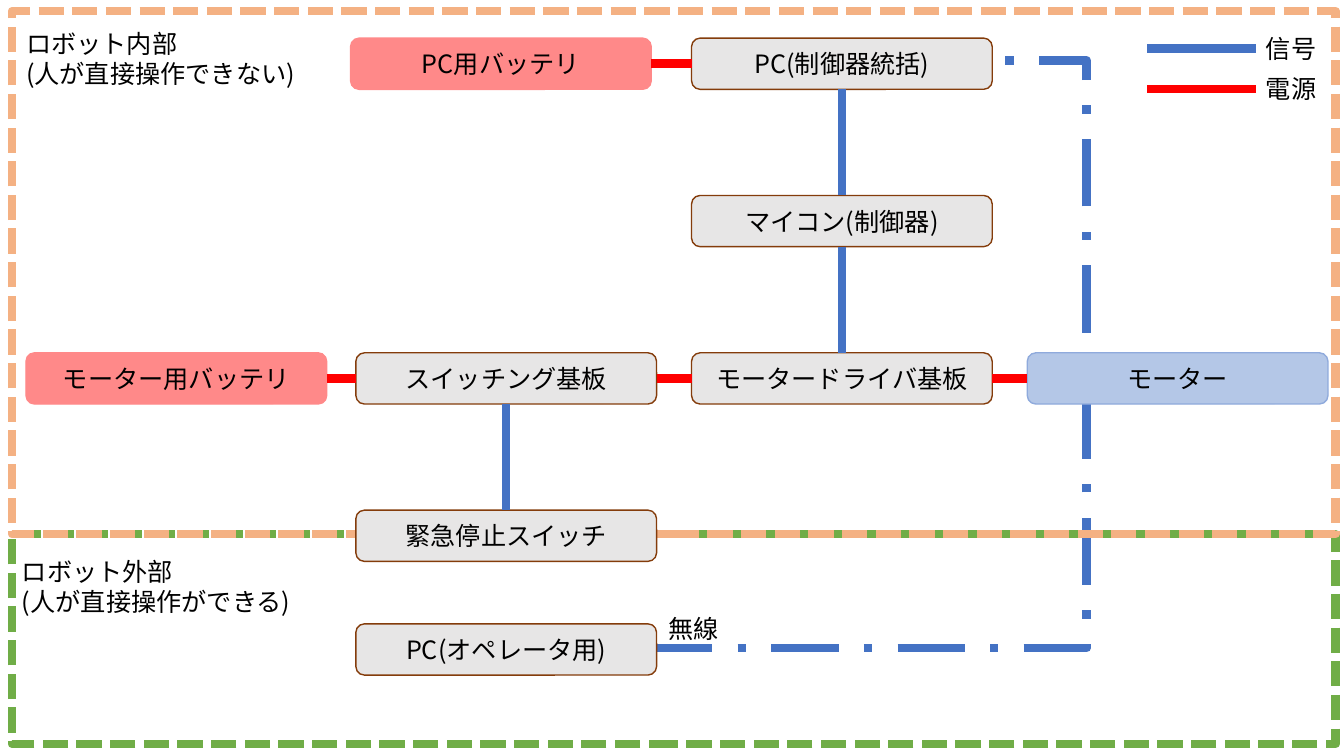
"""Build the robot control and power block diagram slide."""
from pptx import Presentation
from pptx.dml.color import RGBColor
from pptx.enum.dml import MSO_LINE
from pptx.enum.shapes import MSO_CONNECTOR, MSO_SHAPE
from pptx.enum.text import MSO_ANCHOR, PP_ALIGN
from pptx.oxml.ns import qn
from pptx.util import Pt
from lxml import etree

STRAIGHT = MSO_CONNECTOR.STRAIGHT
RECTANGLE, ROUNDED = MSO_SHAPE.RECTANGLE, MSO_SHAPE.ROUNDED_RECTANGLE
ZONE_DASH, WIRELESS_DASH = MSO_LINE.SQUARE_DOT, MSO_LINE.LONG_DASH_DOT
LEFT, CENTER = PP_ALIGN.LEFT, PP_ALIGN.CENTER
TOP, MIDDLE = MSO_ANCHOR.TOP, MSO_ANCHOR.MIDDLE

BLACK = RGBColor(0x00, 0x00, 0x00)
SIGNAL = RGBColor(0x44, 0x72, 0xC4)
POWER = RGBColor(0xFF, 0x00, 0x00)
INSIDE = RGBColor(0xF4, 0xB1, 0x83)
OUTSIDE = RGBColor(0x70, 0xAD, 0x47)
PINK = RGBColor(0xFF, 0x89, 0x89)
GRAY = RGBColor(0xE7, 0xE6, 0xE6)
BROWN = RGBColor(0x84, 0x3C, 0x0B)
PALE_BLUE = RGBColor(0xB4, 0xC7, 0xE7)
MID_BLUE = RGBColor(0x8F, 0xAA, 0xDC)

FONT = "Noto Sans CJK JP"
FONT_SIZE = 18
THICK, THIN = 6, 1
BOX_WIDTH, BOX_HEIGHT = 214.8, 36.6
COLUMNS = (18.6, 254.2, 494, 733.8)
FIRST_ROW, ROW_PITCH = 27.2, 112.4
OPERATOR_ROW = 445.6
TOP_SIDE, LEFT_SIDE, BOTTOM_SIDE, RIGHT_SIDE = range(4)

BATTERY, BOARD, DRIVE = (PINK, PINK), (GRAY, BROWN), (PALE_BLUE, MID_BLUE)
ROWS = [FIRST_ROW + ROW_PITCH * row for row in range(4)]
BLOCKS = {
    "motor_battery": ("モーター用バッテリ", COLUMNS[0], ROWS[2], BATTERY),
    "switching": ("スイッチング基板", COLUMNS[1], ROWS[2], BOARD),
    "driver": ("モータードライバ基板", COLUMNS[2], ROWS[2], BOARD),
    "motor": ("モーター", COLUMNS[3], ROWS[2], DRIVE),
    "micro": ("マイコン(制御器)", COLUMNS[2], ROWS[1], BOARD),
    "stop": ("緊急停止スイッチ", COLUMNS[1], ROWS[3], BOARD),
    "pc_battery": ("PC用バッテリ", 250.4, ROWS[0], BATTERY),
    "pc": ("PC(制御器統括)", COLUMNS[2], ROWS[0], BOARD),
    "operator": ("PC(オペレータ用)", COLUMNS[1], OPERATOR_ROW, BOARD),
}
POWER_LINKS = [("motor_battery", "switching"), ("switching", "driver"),
               ("driver", "motor"), ("pc_battery", "pc")]
SIGNAL_LINKS = [("pc", "micro"), ("micro", "driver"), ("switching", "stop")]
ZONES = [(381.6, 149.8, OUTSIDE), (7.9, 373.7, INSIDE)]
ZONE_LEFT, ZONE_WIDTH = 8.6, 945.4
WIRELESS_ROUTE = [(460.8, 463), (776.2, 463), (776.2, 43.2), (656, 43.2)]
LABELS = [
    (("ロボット内部", "(人が直接操作できない)"), 11.5, 16.6, 347, 51, LEFT),
    (("ロボット外部", "(人が直接操作ができる)"), 8.6, 393.8, 229, 51, LEFT),
    (("無線",), 460.8, 434.2, 69, 29, CENTER),
]
LEGEND = [("信号", SIGNAL), ("電源", POWER)]
LEGEND_LEFT, LEGEND_RIGHT, LEGEND_TOP, LEGEND_PITCH = 819.4, 897.2, 20, 29
LEGEND_WIDTH, LEGEND_HEIGHT = 54, 29

presentation = Presentation()
presentation.slide_width, presentation.slide_height = Pt(960), Pt(540)
slide = presentation.slides.add_slide(presentation.slide_layouts[6])
shapes = slide.shapes


def write(frame, lines, alignment, anchor):
    frame.word_wrap = True
    frame.vertical_anchor = anchor
    for index, line in enumerate(lines):
        paragraph = frame.add_paragraph() if index else frame.paragraphs[0]
        paragraph.alignment = alignment
        run = paragraph.add_run()
        run.text = line
        run.font.name = FONT
        run.font.size = Pt(FONT_SIZE)
        run.font.color.rgb = BLACK
        east_asian = etree.SubElement(run.font._element, qn("a:ea"))
        east_asian.set("typeface", FONT)


def outline(part, color, width, dash=None):
    part.line.color.rgb = color
    part.line.width = Pt(width)
    if dash:
        part.line.dash_style = dash


def add_label(lines, left, top, width, height, alignment):
    label = shapes.add_textbox(Pt(left), Pt(top), Pt(width), Pt(height))
    write(label.text_frame, lines, alignment, TOP)


def add_wire(color, start=(0, 0), end=(0, 0)):
    wire = shapes.add_connector(STRAIGHT, *map(Pt, start + end))
    outline(wire, color, THICK)
    etree.SubElement(wire._element.spPr, qn("a:effectLst"))
    return wire


def link(pairs, color, start_side, end_side):
    for start, end in pairs:
        wire = add_wire(color)
        wire.begin_connect(blocks[start], start_side)
        wire.end_connect(blocks[end], end_side)


route = [(Pt(x), Pt(y)) for x, y in WIRELESS_ROUTE]
builder = shapes.build_freeform(*route[0])
builder.add_line_segments(route[1:], close=False)
wireless = builder.convert_to_shape()
wireless.shadow.inherit = False
wireless.fill.background()
outline(wireless, SIGNAL, THICK, WIRELESS_DASH)

for top, height, color in ZONES:
    zone = shapes.add_shape(RECTANGLE, Pt(ZONE_LEFT), Pt(top), Pt(ZONE_WIDTH), Pt(height))
    zone.shadow.inherit = False
    zone.fill.background()
    outline(zone, color, THICK, ZONE_DASH)

blocks = {}
for key, (name, left, top, (fill, border)) in BLOCKS.items():
    block = shapes.add_shape(ROUNDED, Pt(left), Pt(top), Pt(BOX_WIDTH), Pt(BOX_HEIGHT))
    block.shadow.inherit = False
    block.fill.solid()
    block.fill.fore_color.rgb = fill
    outline(block, border, THIN)
    write(block.text_frame, [name], CENTER, MIDDLE)
    blocks[key] = block

link(POWER_LINKS, POWER, RIGHT_SIDE, LEFT_SIDE)
link(SIGNAL_LINKS, SIGNAL, BOTTOM_SIDE, TOP_SIDE)

for label in LABELS:
    add_label(*label)

for index, (name, color) in enumerate(LEGEND):
    top = LEGEND_TOP + LEGEND_PITCH * index
    middle = top + LEGEND_HEIGHT / 2
    add_wire(color, (LEGEND_LEFT, middle), (LEGEND_RIGHT, middle))
    add_label([name], LEGEND_RIGHT, top, LEGEND_WIDTH, LEGEND_HEIGHT, LEFT)

presentation.save("out.pptx")
